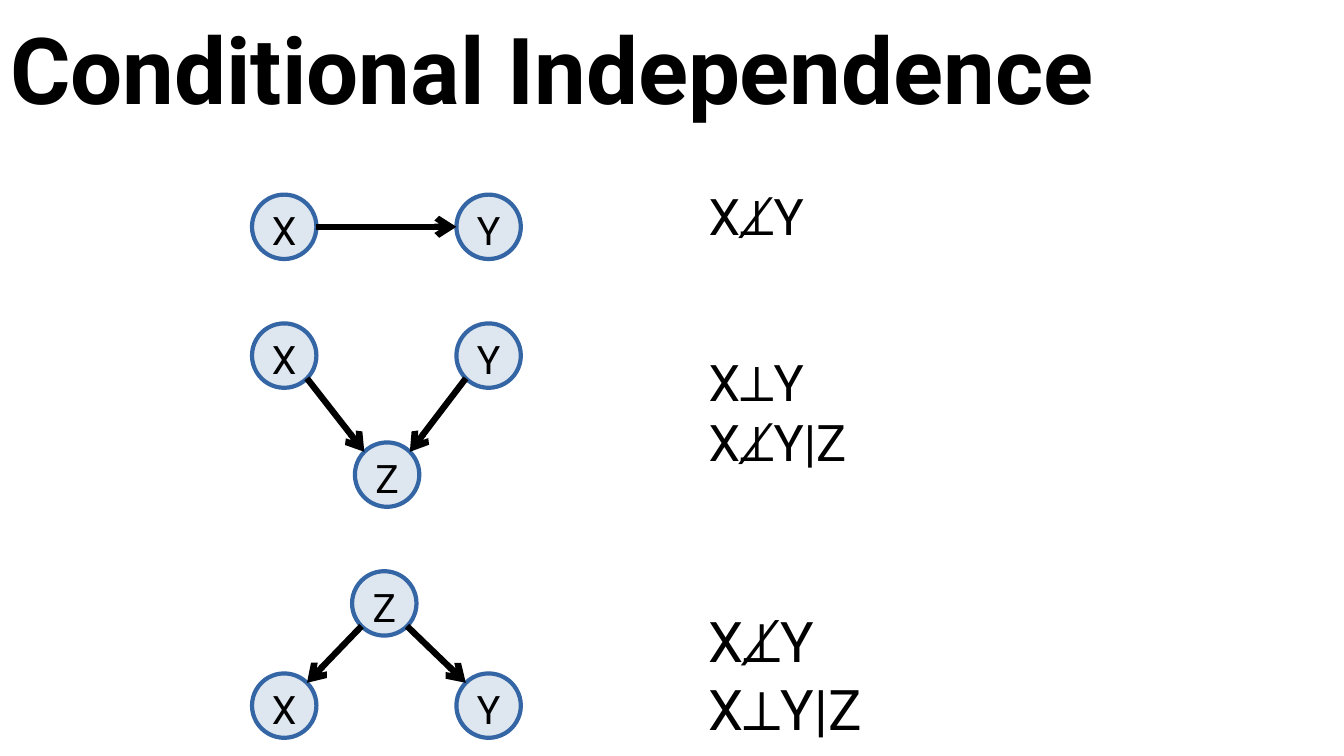
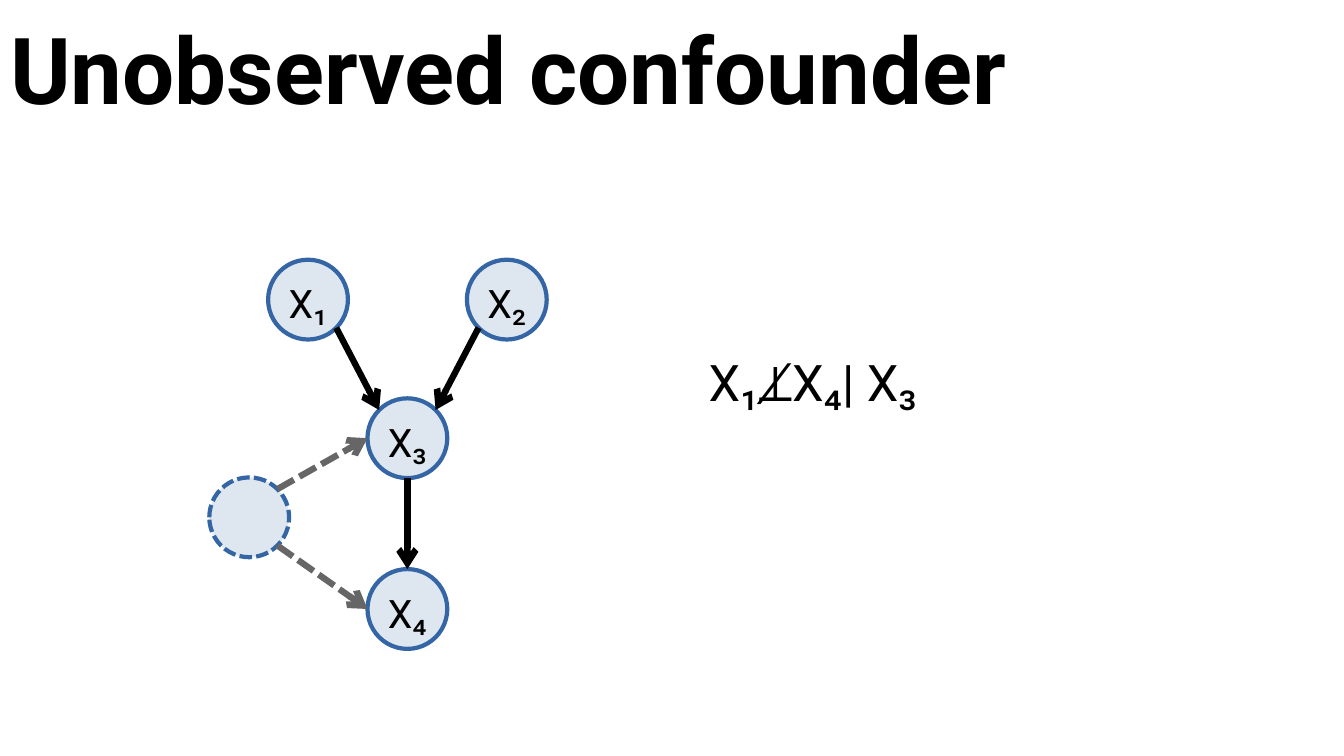
from math import sqrt

from lxml.etree import SubElement
from pptx import Presentation
from pptx.dml.color import RGBColor
from pptx.enum.dml import MSO_LINE
from pptx.enum.shapes import MSO_CONNECTOR, MSO_SHAPE
from pptx.enum.text import MSO_ANCHOR, MSO_AUTO_SIZE, PP_ALIGN
from pptx.oxml.ns import qn
from pptx.util import Pt

COLORS = {"text": "000000", "fill": "DEE6EF", "outline": "3465A4",
          "arrow": "000000", "hidden": "666666"}
FONT = "Roboto"
WIDTH, HEIGHT = 960, 540
TITLE_ONLY = 5
STATEMENT_LEFT = 499

DIAGONAL = 1 / sqrt(2)
SITES = {
    "top": (0, -1), "bottom": (0, 1), "left": (-1, 0), "right": (1, 0),
    "top left": (-DIAGONAL, -DIAGONAL), "top right": (DIAGONAL, -DIAGONAL),
    "bottom left": (-DIAGONAL, DIAGONAL), "bottom right": (DIAGONAL, DIAGONAL),
}


def color(name):
    return RGBColor.from_string(COLORS[name])


def site_point(node, site):
    """Return the point of a circle's rim that a site name stands for."""
    across, down = SITES[site]
    radius = node.width / 2
    return (round(node.left + radius * (1 + across)),
            round(node.top + radius * (1 + down)))


class GraphDeck:
    """Holds the deck's style, its current page and the node size in use."""

    def __init__(self):
        self.deck = Presentation()
        self.deck.slide_width, self.deck.slide_height = Pt(WIDTH), Pt(HEIGHT)
        self.page = None
        self.diameter = None

    def add_page(self, title, diameter):
        self.page = self.deck.slides.add_slide(self.deck.slide_layouts[TITLE_ONLY])
        self.diameter = diameter
        box = self.page.shapes.title
        box.left, box.top, box.width, box.height = Pt(0), Pt(1.5), Pt(WIDTH), Pt(104)
        box.text_frame.auto_size = MSO_AUTO_SIZE.NONE
        box.text_frame.vertical_anchor = MSO_ANCHOR.MIDDLE
        self.set_text(box.text_frame, [title], 66, bold=True, spacing=0.9)

    def set_text(self, frame, lines, size, align=PP_ALIGN.LEFT, bold=False, spacing=None):
        frame.text = "\n".join(lines)
        for para in frame.paragraphs:
            para.alignment = align
            para.line_spacing = spacing
            para.font.name = FONT
            para.font.size = Pt(size)
            para.font.bold = bold
            para.font.color.rgb = color("text")

    def node(self, label, center_x, center_y, dashed=False):
        radius = self.diameter / 2
        circle = self.page.shapes.add_shape(
            MSO_SHAPE.OVAL, Pt(center_x - radius), Pt(center_y - radius),
            Pt(self.diameter), Pt(self.diameter))
        circle.shadow.inherit = False
        circle.fill.solid()
        circle.fill.fore_color.rgb = color("fill")
        circle.line.color.rgb = color("outline")
        circle.line.width = Pt(3)
        if dashed:
            circle.line.dash_style = MSO_LINE.SQUARE_DOT
        if label:
            frame = circle.text_frame
            frame.word_wrap = False
            frame.vertical_anchor = MSO_ANCHOR.MIDDLE
            frame.margin_left = frame.margin_right = frame.margin_bottom = 0
            frame.margin_top = Pt(5)
            self.set_text(frame, [label], 28, PP_ALIGN.CENTER)
        return circle

    def arrow(self, source, source_site, target, target_site, dashed=False):
        connector = self.page.shapes.add_connector(
            MSO_CONNECTOR.STRAIGHT, *site_point(source, source_site),
            *site_point(target, target_site))
        connector.line.width = Pt(4.5)
        connector.line.color.rgb = color("hidden" if dashed else "arrow")
        if dashed:
            connector.line.dash_style = MSO_LINE.SQUARE_DOT
        properties = connector._element.spPr
        SubElement(properties.find(qn("a:ln")), qn("a:tailEnd"), type="arrow")
        SubElement(properties, qn("a:effectLst"))

    def statements(self, top, width, height, lines, size=36):
        box = self.page.shapes.add_textbox(
            Pt(STATEMENT_LEFT), Pt(top), Pt(width), Pt(height))
        box.text_frame.word_wrap = True
        self.set_text(box.text_frame, lines, size)


def add_independence_page(graph):
    graph.add_page("Conditional Independence", diameter=46)

    def pair(center_y):
        return graph.node("X", 203, center_y), graph.node("Y", 349, center_y)

    cause, effect = pair(162)
    graph.arrow(cause, "right", effect, "left")

    left, right = pair(254)
    collider = graph.node("Z", 276.5, 339)
    graph.arrow(left, "bottom right", collider, "top left")
    graph.arrow(right, "bottom left", collider, "top right")

    left, right = pair(504)
    confounder = graph.node("Z", 274.5, 431)
    graph.arrow(confounder, "bottom left", left, "top right")
    graph.arrow(confounder, "bottom right", right, "top left")

    graph.statements(129, 143, 66, ["X⟂̸Y"])
    graph.statements(247, 143, 115, ["X⟂Y", "X⟂̸Y|Z"])
    graph.statements(430, 143, 104, ["X⟂̸Y", "X⟂Y|Z"], size=40)


def add_confounder_page(graph):
    graph.add_page("Unobserved confounder", diameter=57)
    axis, spread = 291, 71
    first = graph.node("X₁", axis - spread, 214)
    second = graph.node("X₂", axis + spread, 214)
    third = graph.node("X₃", axis, 313)
    fourth = graph.node("X₄", axis, 435)
    hidden = graph.node("", 178, 369.5, dashed=True)

    graph.arrow(first, "bottom right", third, "top left")
    graph.arrow(second, "bottom left", third, "top right")
    graph.arrow(third, "bottom", fourth, "top")
    graph.arrow(hidden, "bottom right", fourth, "left", dashed=True)
    graph.arrow(hidden, "top right", third, "left", dashed=True)

    graph.statements(247, 176, 115, ["X₁⟂̸X₄| X₃"])


def main():
    graph = GraphDeck()
    add_independence_page(graph)
    add_confounder_page(graph)
    graph.deck.save("out.pptx")


if __name__ == "__main__":
    main()
